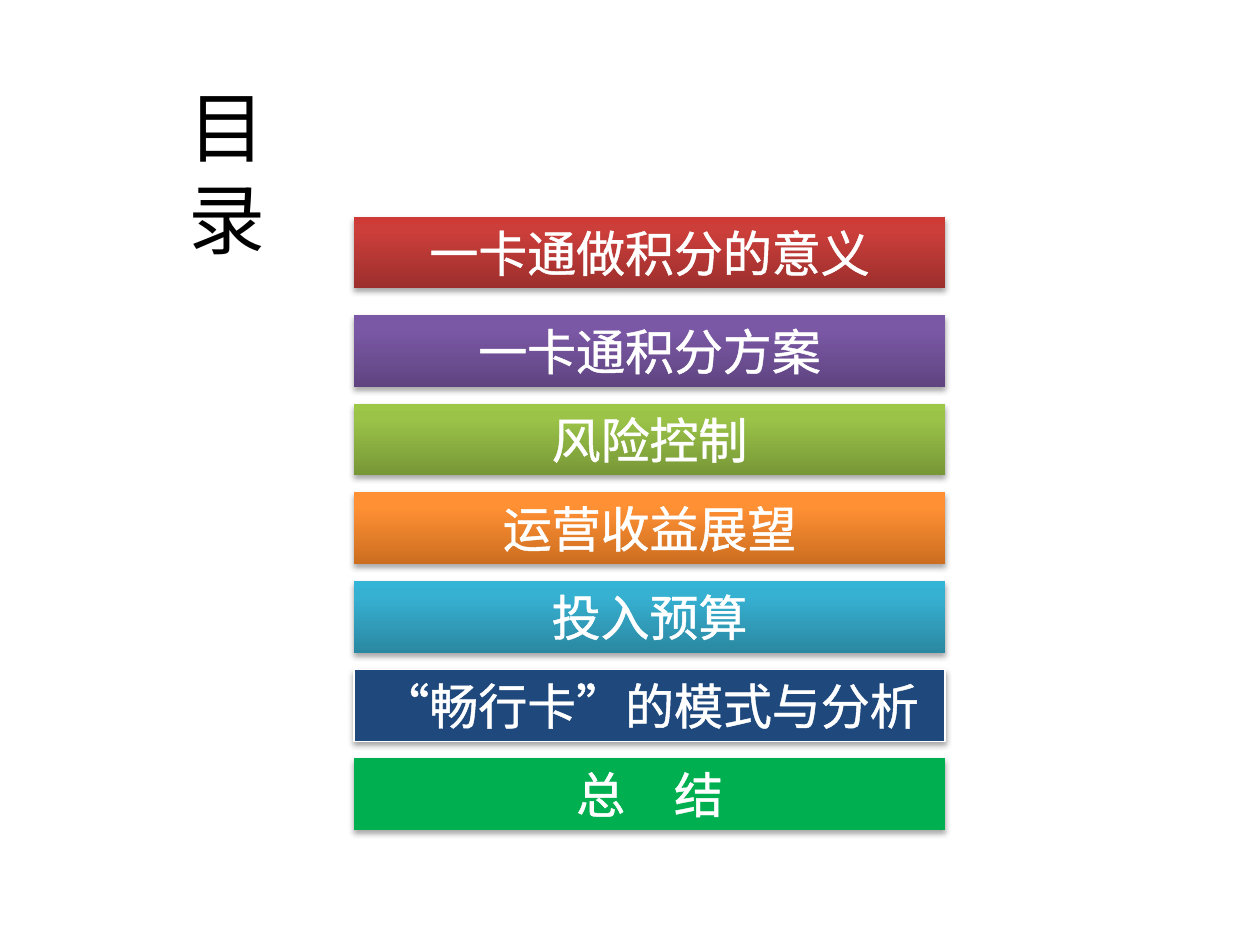
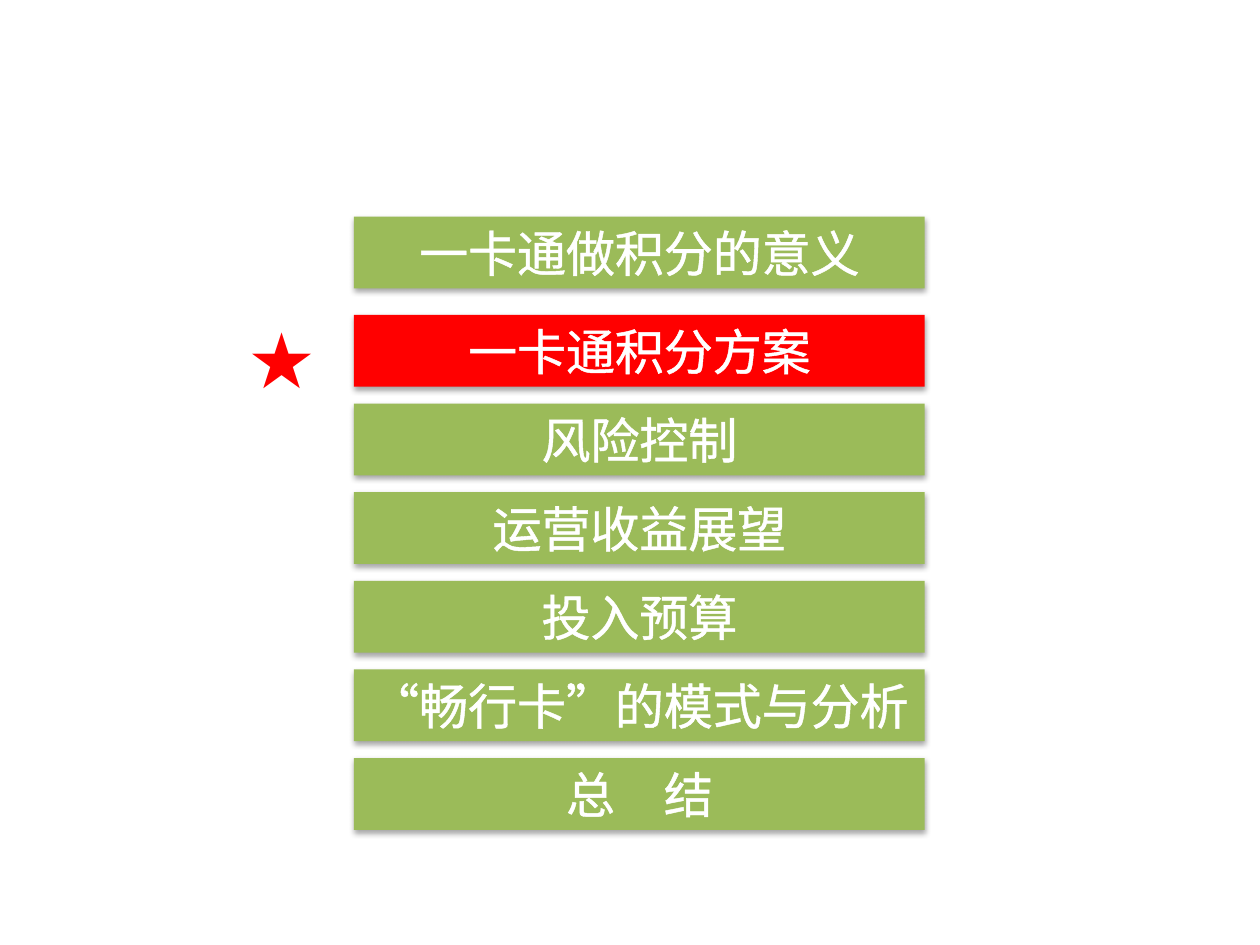
from dataclasses import dataclass

from lxml import etree
from pptx import Presentation
from pptx.dml.color import RGBColor
from pptx.enum.shapes import MSO_SHAPE
from pptx.enum.text import MSO_ANCHOR, MSO_AUTO_SIZE, PP_ALIGN
from pptx.oxml.ns import qn
from pptx.util import Pt

RECTANGLE = MSO_SHAPE.RECTANGLE
TOP, MIDDLE = MSO_ANCHOR.TOP, MSO_ANCHOR.MIDDLE
LEFT, CENTER = PP_ALIGN.LEFT, PP_ALIGN.CENTER
GROW, FIXED = MSO_AUTO_SIZE.SHAPE_TO_FIT_TEXT, MSO_AUTO_SIZE.NONE
TITLE_ONLY, BLANK = 5, 6


@dataclass(frozen=True)
class Theme:
    font: str = "Calibri"
    title_size: float = 44
    bar_size: float = 28
    outline_width: float = 1.45
    ink: str = "000000"
    white: str = "FFFFFF"
    idle: str = "9BBB59"
    active: str = "FF0000"


@dataclass(frozen=True)
class Topic:
    label: str
    fill: tuple[str, ...]  # one colour, or gradient colours from the bottom up
    outlined: bool = False


THEME = Theme()
GRADIENT_STOPS = (0, 80, 100)
BAR_LEFT, BAR_HEIGHT = 202.32, 41.04
FIRST_TOP, SECOND_TOP, BAR_PITCH = 123.84, 180, 50.64
WIDE_BAR, NARROW_BAR = 337.68, 326.16

TOPICS = (
    Topic("一卡通做积分的意义", ("9C2F2D", "CB3E3A", "CE3B37")),
    Topic("一卡通积分方案", ("5F4480", "7B58A6", "7C57A8")),
    Topic("风险控制", ("779737", "9BC348", "9DC746")),
    Topic("运营收益展望", ("CC6E20", "FF9034", "FF9136")),
    Topic("投入预算", ("2A88A2", "37B1D2", "34B4D6")),
    Topic("“畅行卡”的模式与分析", ("1F497D",), outlined=True),
    Topic("总　结", ("00B050",)),
)


def add_node(parent, tag: str, **attributes):
    """Append a drawing element with the given attributes."""
    values = {name: str(value) for name, value in attributes.items()}
    return etree.SubElement(parent, qn(f"a:{tag}"), values)


def write_text(shape, text: str, *, size: float, color: str, align=CENTER,
               anchor=TOP, wrap: bool = True, fit=GROW, outline: str = "") -> None:
    frame = shape.text_frame
    frame.word_wrap = wrap
    frame.auto_size = fit
    frame.vertical_anchor = anchor
    para = frame.paragraphs[0]
    para.alignment = align
    span = para.add_run()
    span.text = text
    span.font.name = THEME.font
    span.font.size = Pt(size)
    span.font.color.rgb = RGBColor.from_string(color)
    if outline:
        properties = span.font._element
        line = add_node(properties, "ln", w=Pt(THEME.outline_width))
        add_node(add_node(line, "solidFill"), "srgbClr", val=outline)
        properties.insert(0, line)


def paint(shape, colors: tuple[str, ...]) -> None:
    """Fill with one colour or with a gradient rising from the bottom."""
    if len(colors) == 1:
        shape.fill.solid()
        shape.fill.fore_color.rgb = RGBColor.from_string(colors[0])
        return
    shape.fill.gradient()
    shape.fill.gradient_angle = 90
    stops = shape._element.spPr.find(f".//{qn('a:gsLst')}")
    for stop in list(stops):
        stops.remove(stop)
    for position, color in zip(GRADIENT_STOPS, colors):
        add_node(add_node(stops, "gs", pos=position * 1000), "srgbClr", val=color)


def add_soft_shadow(shape) -> None:
    shape.shadow.inherit = False
    effects = shape._element.spPr.find(qn("a:effectLst"))
    shadow = add_node(effects, "outerShdw", blurRad=Pt(3.1), dist=Pt(1.8),
                      dir=90 * 60000, rotWithShape=0)
    add_node(add_node(shadow, "srgbClr", val=THEME.ink), "alpha", val=35000)


def bar_top(index: int) -> float:
    return FIRST_TOP if index == 0 else SECOND_TOP + (index - 1) * BAR_PITCH


def add_bar(page, index: int, topic: Topic, width: float) -> None:
    bar = page.shapes.add_shape(RECTANGLE, Pt(BAR_LEFT), Pt(bar_top(index)),
                                Pt(width), Pt(BAR_HEIGHT))
    paint(bar, topic.fill)
    if topic.outlined:
        bar.line.color.rgb = RGBColor.from_string(THEME.white)
        bar.line.width = Pt(0.75)
    else:
        bar.line.fill.background()
    add_soft_shadow(bar)
    write_text(bar, topic.label, size=THEME.bar_size, color=THEME.white,
               outline=THEME.white)


def build_contents(deck) -> None:
    page = deck.slides.add_slide(deck.slide_layouts[TITLE_ONLY])
    title = page.shapes.title
    title.left, title.top = Pt(73.44), Pt(67.68)
    title.width, title.height = Pt(112.32), Pt(61.2)
    write_text(title, "目 录", size=THEME.title_size, color=THEME.ink,
               anchor=MIDDLE, wrap=False, fit=FIXED)
    for index, topic in enumerate(TOPICS):
        add_bar(page, index, topic, WIDE_BAR)


def build_section(deck, current: int) -> None:
    """Show the same list with the current topic marked by a star."""
    page = deck.slides.add_slide(deck.slide_layouts[BLANK])
    for index, topic in enumerate(TOPICS):
        color = THEME.active if index == current else THEME.idle
        add_bar(page, index, Topic(topic.label, (color,)), NARROW_BAR)
    star = page.shapes.add_textbox(Pt(134.64), Pt(bar_top(current) - 5.76),
                                   Pt(33.84), Pt(60.48))
    write_text(star, "★", size=THEME.title_size, color=THEME.active, align=LEFT)


def main() -> None:
    deck = Presentation()
    deck.slide_width, deck.slide_height = Pt(720), Pt(540)
    build_contents(deck)
    build_section(deck, current=1)
    deck.save("out.pptx")


if __name__ == "__main__":
    main()
